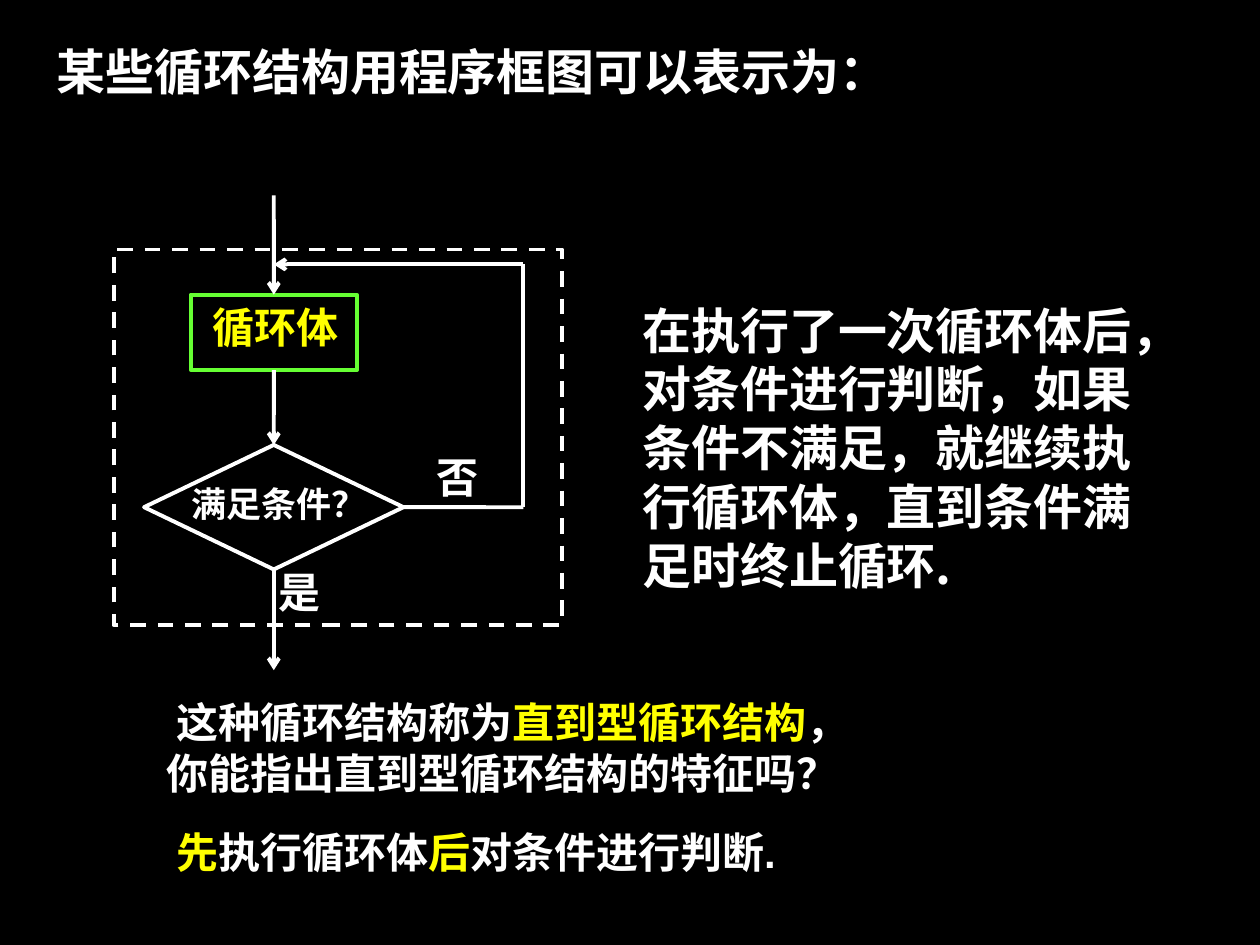
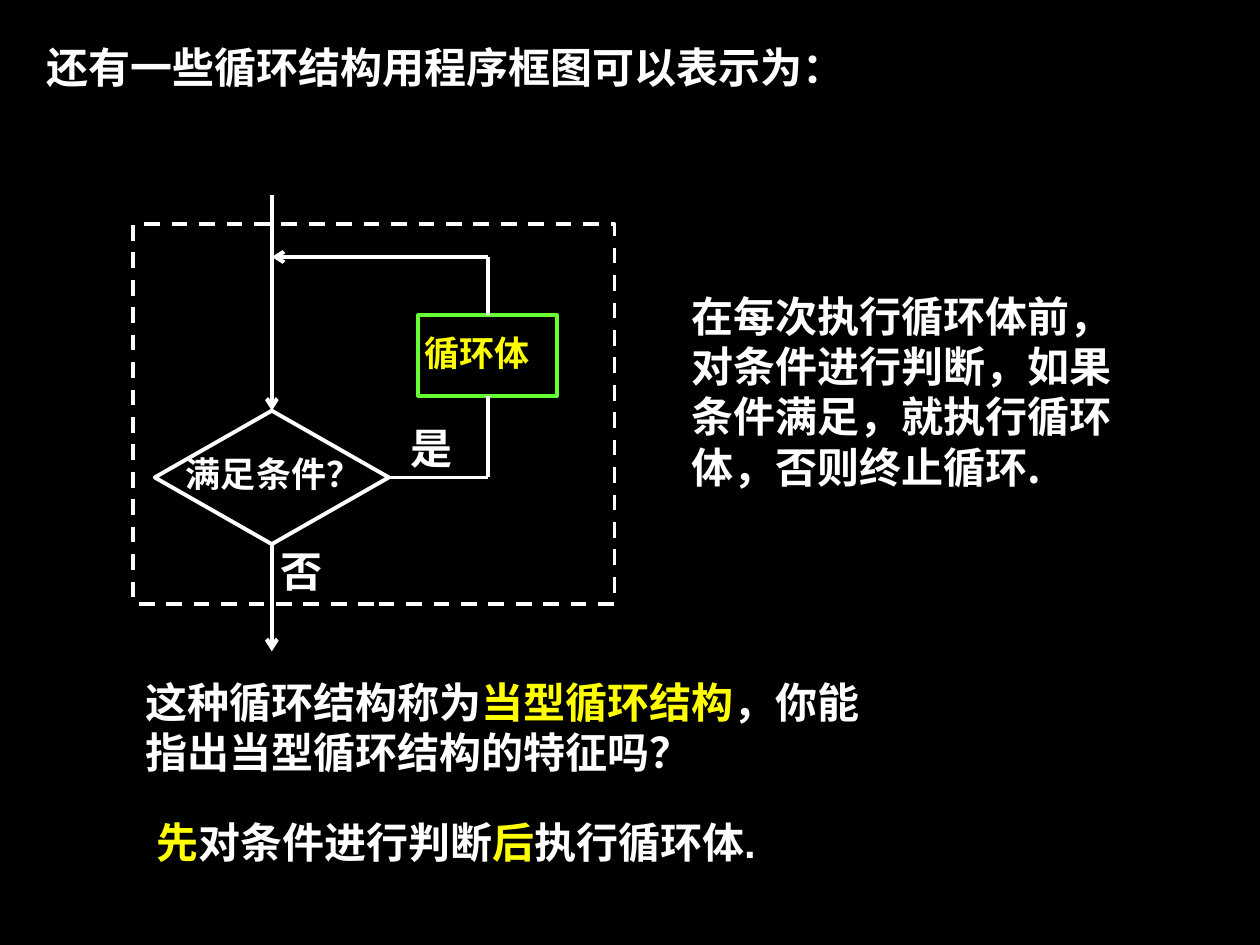
from pptx import Presentation
from pptx.dml.color import RGBColor
from pptx.enum import dml, shapes, text
from pptx.oxml.ns import qn
from pptx.util import Cm, Pt
from lxml import etree

HUES = {"back": "000000", "ink": "FFFFFF", "key": "FFFF00", "body": "66FF33"}
HAN = "Noto Sans CJK SC"
TOP, LEFT, BASE, RIGHT = range(4)


def hue(name):
    return RGBColor.from_string(HUES[name])


def write(shape, words, size=24, font=HAN, tone="ink", just=False, indent=0):
    frame = shape.text_frame
    frame.word_wrap = True
    frame.auto_size = text.MSO_AUTO_SIZE.NONE
    frame.vertical_anchor = text.MSO_ANCHOR.TOP
    frame.margin_left = frame.margin_right = Cm(0.25)
    frame.margin_top = frame.margin_bottom = Cm(0.13)
    para = frame.paragraphs[0]
    para.alignment = text.PP_ALIGN.JUSTIFY if just else text.PP_ALIGN.LEFT
    para.space_before = Pt(0)
    if indent:
        para._p.get_or_add_pPr().set("indent", str(Cm(indent)))
    for spot, part in enumerate(words.split("|")):
        if not part:
            continue
        run = para.add_run()
        run.text = part
        run.font.size = Pt(size)
        run.font.bold = True
        run.font.name = font
        run.font.color.rgb = hue("key" if spot % 2 else tone)
        etree.SubElement(run._r.get_or_add_rPr(), qn("a:ea"), typeface=HAN)


def note(slide, box, words, **form):
    write(slide.shapes.add_textbox(*map(Cm, box)), words, **form)


def label(slide, box, spot, words, **form):
    left, top, wide, high = spot
    note(slide, (box[0] + left, box[1] + top, wide, high), words,
         font="Times New Roman", just=True, **form)


def node(slide, kind, box, tone="ink", dash=False):
    shape = slide.shapes.add_shape(kind, *map(Cm, box))
    shape.shadow.inherit = False
    shape.fill.background()
    shape.line.color.rgb = hue(tone)
    shape.line.width = Pt(2.25)
    if dash:
        shape.line.dash_style = dml.MSO_LINE.DASH
    return shape


def wire(slide, start, stop, head=None, tail=None, arrow=False):
    link = slide.shapes.add_connector(
        shapes.MSO_CONNECTOR.STRAIGHT, *map(Cm, start + stop))
    if head:
        link.begin_connect(*head)
    if tail:
        link.end_connect(*tail)
    link.line.color.rgb = hue("ink")
    link.line.width = Pt(2.25)
    if arrow:
        etree.SubElement(link.line._get_or_add_ln(), qn("a:tailEnd"), type="arrow")
    etree.SubElement(link._element.spPr, qn("a:effectLst"))


def frame(slide, box):
    return node(slide, shapes.MSO_SHAPE.RECTANGLE, box, dash=True)


def block(slide, mid, top, wide, high):
    return node(slide, shapes.MSO_SHAPE.RECTANGLE,
                (mid - wide / 2, top, wide, high), tone="body")


def test(slide, mid, top, wide, high):
    return node(slide, shapes.MSO_SHAPE.DIAMOND, (mid - wide / 2, top, wide, high))


def until(slide, box):
    x, y = box[:2]
    axis, side, back = x + 3.23, x + 8.26, y + 0.3
    body = block(slide, axis, y + 0.91, 3.35, 1.52)
    ask = test(slide, axis, y + 3.94, 5.23, 2.51)
    half = y + 3.94 + 2.51 / 2
    label(slide, box, (1.75, 0.91, 3.51, 1.52), "循环体", tone="key")
    label(slide, box, (1.32, 4.57, 4.27, 1.52), "满足条件？", size=20)
    label(slide, box, (3.07, 6.27, 1.42, 1.52), "是")
    label(slide, box, (6.27, 3.94, 1.42, 1.52), "否")
    wire(slide, (axis, y - 1.09), (axis, y + 0.91), tail=(body, TOP), arrow=True)
    wire(slide, (axis, y + 2.43), (axis, y + 3.94), (body, BASE), (ask, TOP), True)
    wire(slide, (axis, y + 6.45), (axis, y + 8.48), head=(ask, BASE), arrow=True)
    wire(slide, (axis, half), (side, half), head=(ask, RIGHT))
    wire(slide, (side, half), (side, back))
    wire(slide, (side, back), (axis, back), arrow=True)
    frame(slide, box)


def during(slide, box):
    x, y = box[:2]
    axis, side, back = x + 2.79, x + 7.14, y + 0.66
    body = block(slide, side, y + 1.83, 2.79, 1.63)
    ask = test(slide, axis, y + 3.76, 4.72, 2.69)
    half = y + 3.76 + 2.69 / 2
    label(slide, box, (5.61, 2.03, 3.2, 1.63), "循环体", size=20, tone="key")
    label(slide, box, (0.81, 4.47, 5.21, 1.63), "满足条件？", size=20)
    label(slide, box, (5.33, 3.86, 1.22, 1.63), "是")
    label(slide, box, (2.72, 6.35, 1.22, 1.63), "否")
    wire(slide, (axis, y - 0.58), (axis, y + 3.76), tail=(ask, TOP), arrow=True)
    wire(slide, (axis, y + 6.45), (axis, y + 8.61), head=(ask, BASE), arrow=True)
    wire(slide, (axis, half), (side, half), head=(ask, RIGHT))
    wire(slide, (side, half), (side, y + 3.46), tail=(body, BASE))
    wire(slide, (side, y + 1.83), (side, back), head=(body, TOP))
    wire(slide, (side, back), (axis, back), arrow=True)
    frame(slide, box)


def page(deck, box, words, size):
    slide = deck.slides.add_slide(deck.slide_layouts[5])
    title = slide.shapes.title
    title.left, title.top, title.width, title.height = map(Cm, box)
    write(title, words, size=size)
    return slide


def main():
    deck = Presentation()
    deck.slide_width, deck.slide_height = Cm(25.4), Cm(19.05)
    fill = deck.slide_master.background.fill
    fill.solid()
    fill.fore_color.rgb = hue("back")

    slide = page(deck, (0.89, 0.71, 17.5, 1.45),
                 "某些循环结构用程序框图可以表示为：", 28)
    until(slide, (2.29, 5.03, 9.04, 7.57))
    note(slide, (3.1, 13.92, 14.4, 2.29),
         "这种循环结构称为|直到型循环结构|，你能指出直到型循环结构的特征吗？",
         font="Arial", indent=0.2)
    note(slide, (12.7, 5.92, 10.8, 6.2),
         "在执行了一次循环体后，对条件进行判断，如果条件不满足，"
         "就继续执行循环体，直到条件满足时终止循环.", size=28)
    note(slide, (3.3, 16.54, 15.01, 1.27),
         "|先|执行循环体|后|对条件进行判断.", font="Arial")

    slide = page(deck, (0.69, 0.71, 17.3, 1.27),
                 "还有一些循环结构用程序框图可以表示为：", 24)
    during(slide, (2.69, 4.52, 9.7, 7.65))
    note(slide, (2.69, 13.51, 15.6, 2.29),
         "这种循环结构称为|当型循环结构|，你能指出当型循环结构的特征吗？",
         font="Arial")
    note(slide, (13.69, 5.72, 9.4, 4.32),
         "在每次执行循环体前，对条件进行判断，如果条件满足，"
         "就执行循环体，否则终止循环.")
    note(slide, (2.9, 16.33, 15.01, 1.27),
         "|先|对条件进行判断|后|执行循环体.", font="Arial")

    deck.save("out.pptx")


if __name__ == "__main__":
    main()
